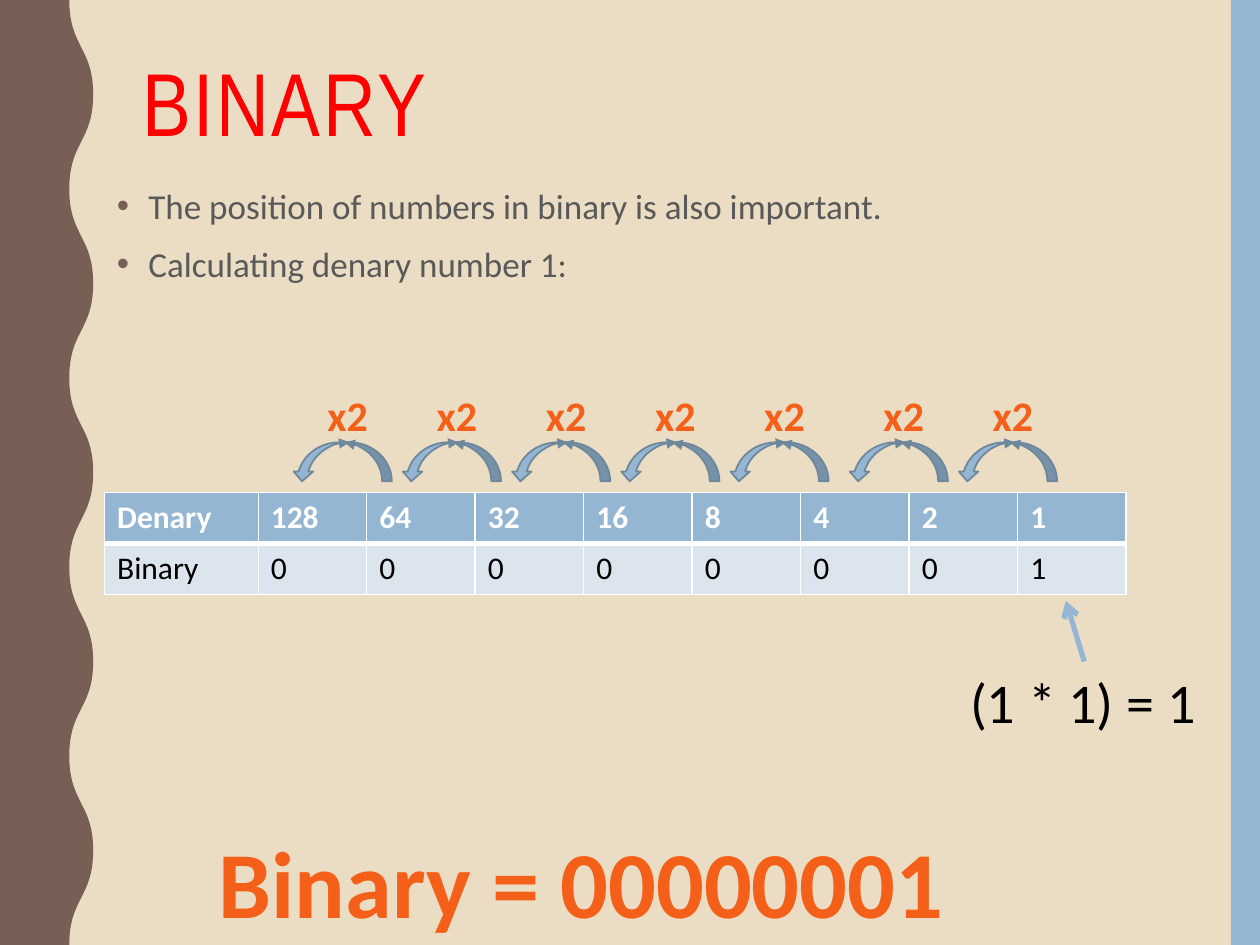
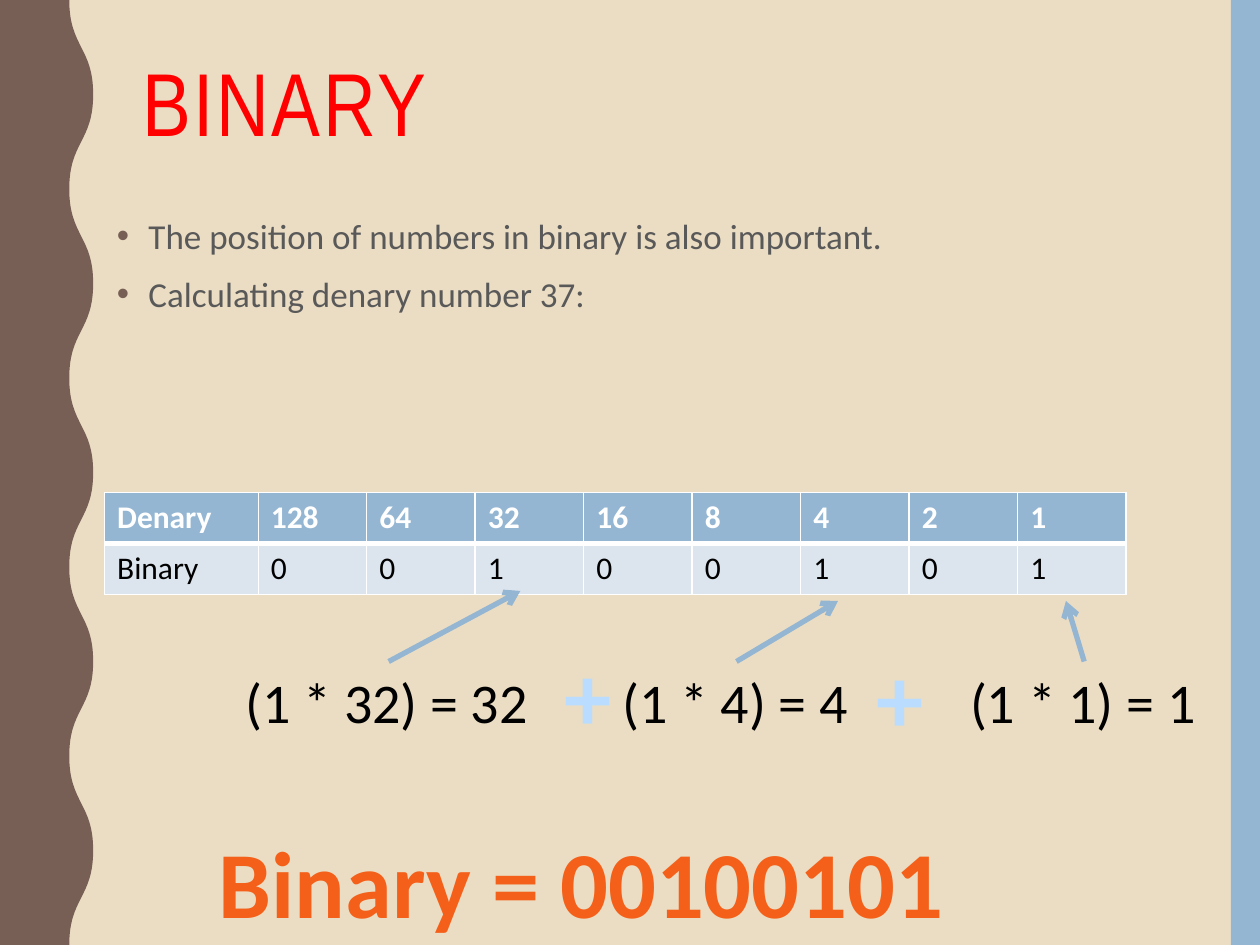
from dataclasses import dataclass

from lxml import etree
from pptx import Presentation
from pptx.dml.color import RGBColor
from pptx.enum.shapes import MSO_CONNECTOR, MSO_SHAPE
from pptx.enum.text import MSO_ANCHOR, MSO_AUTO_SIZE, PP_ALIGN
from pptx.oxml.ns import qn
from pptx.util import Inches, Pt

RECT, ARC = MSO_SHAPE.RECTANGLE, MSO_SHAPE.CURVED_DOWN_ARROW
STRAIGHT = MSO_CONNECTOR.STRAIGHT
TOP = MSO_ANCHOR.TOP
LEFT, CENTER = PP_ALIGN.LEFT, PP_ALIGN.CENTER
FIXED, GROW = MSO_AUTO_SIZE.NONE, MSO_AUTO_SIZE.SHAPE_TO_FIT_TEXT

# Shared colours and text formats
SAND, BROWN, BLUE, SLATE = "EBDDC3", "775F55", "94B6D2", "6D879B"
PALE, WHITE, BLACK, GREY = "DCE5EE", "FFFFFF", "000000", "595959"
RED, ORANGE, SKY = "FF0000", "F46019", "BADDFF"

HEADING = {"name": "Arial Narrow", "size": Pt(51), "bold": False}
BODY = {"name": "Calibri", "size": Pt(20)}
HEADER = {"name": "Calibri", "size": Pt(18), "bold": True}
DIGIT = {"name": "Calibri", "size": Pt(18), "bold": False}
SUM = {"name": "Calibri", "size": Pt(32)}
TIMES = {"name": "Calibri", "size": Pt(24), "bold": True}
LARGE = {"name": "Calibri", "size": Pt(54), "bold": True}

POWERS = [2 ** n for n in range(7, -1, -1)]


@dataclass
class Box:
    x: float
    y: float
    w: float
    h: float

    def place(self) -> tuple:
        return tuple(Inches(v) for v in (self.x, self.y, self.w, self.h))


@dataclass
class Term:
    """One product below the table and the tip of its arrow."""
    text: str
    box: Box
    tip: tuple


@dataclass
class Page:
    number: int
    body: Box
    answer: Box
    terms: list
    pluses: list
    arcs: bool = False


ONE = Term("(1 * 1) = 1", Box(7.6, 5.25, 2.01, 0.64), (8.46, 4.77))
FOUR = Term("(1 * 4) = 4", Box(4.84, 5.25, 2.01, 0.64), (6.65, 4.77))
THIRTY = Term("(1 * 32) = 32", Box(1.85, 5.25, 2.47, 0.64), (4.13, 4.69))

PAGES = [
    Page(1, Box(0.83, 1.38, 9.53, 5.06), Box(1.54, 6.49, 6.15, 1.01),
         [ONE], [], arcs=True),
    Page(37, Box(0.83, 1.62, 8.79, 5.06), Box(1.56, 6.49, 6.11, 1.01),
         [ONE, FOUR, THIRTY],
         [Box(6.84, 5.02, 0.6, 1.01), Box(4.37, 5.01, 0.6, 1.01)]),
]


def rgb(code: str) -> RGBColor:
    return RGBColor.from_string(code)


def style(font, form: dict, color: str) -> None:
    for key, value in form.items():
        setattr(font, key, value)
    font.color.rgb = rgb(color)


def paint(shape, color: str, edge: str = "") -> None:
    shape.shadow.inherit = False
    shape.fill.solid()
    shape.fill.fore_color.rgb = rgb(color)
    if edge:
        shape.line.color.rgb = rgb(edge)
        shape.line.width = Pt(1)
    else:
        shape.line.fill.background()


def add_ends(shape, **ends: str) -> None:
    line = shape.element.spPr.find(qn("a:ln"))
    for tag, kind in ends.items():
        etree.SubElement(line, qn(f"a:{tag}End"), type=kind)


def add_text(slide, box: Box, text: str, form: dict, color: str, align=CENTER):
    shape = slide.shapes.add_textbox(*box.place())
    frame = shape.text_frame
    frame.word_wrap = False
    frame.auto_size = GROW
    para = frame.paragraphs[0]
    para.alignment = align
    run = para.add_run()
    run.text = text
    style(run.font, form, color)
    return shape


# Side bands: a wavy one at the left, a plain one at the right
def bend(shape) -> None:
    """Turn each straight side into a curve that starts and ends upright."""
    start = None
    for step in shape.element.iter(qn("a:moveTo"), qn("a:lnTo")):
        end = step[0]
        if start is not None:
            step.tag = qn("a:cubicBezTo")
            middle = str((int(start.get("y")) + int(end.get("y"))) // 2)
            for i, side in enumerate((start, end)):
                knot = etree.Element(qn("a:pt"), x=side.get("x"), y=middle)
                step.insert(i, knot)
        start = end


def add_bands(slide, master) -> None:
    """Draw the bands and move them to the master, behind all else."""
    band = slide.shapes.add_shape(RECT, *Box(9.77, 0, 0.23, 7.5).place())
    paint(band, BLUE)
    knots = [((0.55, 0.74)[i % 2], 0.75 * i) for i in range(11)]
    pen = slide.shapes.build_freeform(0, 0)
    pen.add_line_segments(
        [(Inches(x), Inches(y)) for x, y in [*knots, (0, 7.5)]])
    wave = pen.convert_to_shape()
    bend(wave)
    paint(wave, BROWN)
    for i, shape in enumerate((band, wave)):
        master.shapes.element.insert(2 + i, shape.element)


def add_title(slide) -> None:
    title = slide.shapes.title
    title.left, title.top, title.width, title.height = Box(
        1.03, 0.42, 8.35, 1.63).place()
    frame = title.text_frame
    frame.vertical_anchor = TOP
    frame.auto_size = FIXED
    para = frame.paragraphs[0]
    para.alignment = LEFT
    para.line_spacing = 0.9
    run = para.add_run()
    run.text = "BINARY"
    style(run.font, HEADING, RED)
    run.font._element.set("spc", "150")


def add_body(slide, box: Box, lines: list) -> None:
    frame = slide.shapes.add_textbox(*box.place()).text_frame
    frame.word_wrap = True
    for i, line in enumerate(lines):
        para = frame.add_paragraph() if i else frame.paragraphs[0]
        para.line_spacing = 1.1
        para.space_before = Pt(7)
        run = para.add_run()
        run.text = line
        style(run.font, BODY, GREY)
        props = para._p.get_or_add_pPr()
        props.set("marL", str(Inches(0.25)))
        props.set("indent", str(Inches(-0.25)))
        tint = etree.SubElement(props, qn("a:buClr"))
        etree.SubElement(tint, qn("a:srgbClr"), val=BROWN)
        etree.SubElement(props, qn("a:buFont"), typeface="Arial")
        etree.SubElement(props, qn("a:buChar"), char="•")


# Table of place values and bits
def add_edges(cell, **widths: float) -> None:
    props = cell._tc.get_or_add_tcPr()
    for side, width in widths.items():
        line = etree.SubElement(props, qn(f"a:ln{side}"), w=str(Pt(width)))
        fill = etree.SubElement(line, qn("a:solidFill"))
        etree.SubElement(fill, qn("a:srgbClr"), val=WHITE)


def add_grid(slide, bits: str) -> None:
    rows = [["Denary", *map(str, POWERS)], ["Binary", *bits]]
    box, first = Box(0.83, 3.91, 8.11, 0.81), 1.22
    table = slide.shapes.add_table(2, len(rows[0]), *box.place()).table
    for i, column in enumerate(table.columns):
        width = (box.w - first) / len(POWERS) if i else first
        column.width = Inches(width)
    looks = [(HEADER, WHITE, BLUE, 1, 3), (DIGIT, BLACK, PALE, 3, 1)]
    for r, (row, look) in enumerate(zip(rows, looks)):
        form, color, fill, top, bottom = look
        for c, text in enumerate(row):
            cell = table.cell(r, c)
            add_edges(cell, L=1, R=1, T=top, B=bottom)
            cell.fill.solid()
            cell.fill.fore_color.rgb = rgb(fill)
            run = cell.text_frame.paragraphs[0].add_run()
            run.text = text
            style(run.font, form, color)


# Products with arrows up to their bits
def add_term(slide, term: Term) -> None:
    box = add_text(slide, term.box, term.text, SUM, BLACK, LEFT)
    x, y = (Inches(v) for v in term.tip)
    arrow = slide.shapes.add_connector(STRAIGHT, x, y, x, y)
    arrow.begin_connect(box, 0)
    arrow.line.color.rgb = rgb(BLUE)
    arrow.line.width = Pt(3)
    add_ends(arrow, tail="arrow")
    etree.SubElement(arrow.element.spPr, qn("a:effectLst"))


# Doubling arcs above the table
def add_arcs(slide) -> None:
    for i in range(len(POWERS) - 1):
        x = 2.32 + 2.6 * i / 3 + (0.08 if i > 4 else 0)
        arc = slide.shapes.add_shape(ARC, *Box(x, 3.51, 0.79, 0.31).place())
        paint(arc, BLUE, SLATE)
        arc.element.spPr.find(qn("a:xfrm")).set("flipH", "1")
        add_ends(arc, head="triangle", tail="triangle")
        add_text(slide, Box(x + 0.16, 3.04, 0.56, 0.5), "x2", TIMES, ORANGE)


def add_page(deck, page: Page):
    slide = deck.slides.add_slide(deck.slide_layouts[5])
    bits = f"{page.number:08b}"
    add_title(slide)
    add_body(slide, page.body, [
        "The position of numbers in binary is also important.",
        f"Calculating denary number {page.number}:"])
    add_grid(slide, bits)
    add_text(slide, page.answer, f"Binary = {bits}", LARGE, ORANGE)
    for term in page.terms:
        add_term(slide, term)
    for box in page.pluses:
        add_text(slide, box, "+", LARGE, SKY)
    if page.arcs:
        add_arcs(slide)
    return slide


def main() -> None:
    deck = Presentation()
    deck.slide_width, deck.slide_height = Inches(10), Inches(7.5)
    back = deck.slide_master.background.fill
    back.solid()
    back.fore_color.rgb = rgb(SAND)
    slides = [add_page(deck, page) for page in PAGES]
    add_bands(slides[0], deck.slide_master)
    deck.save("out.pptx")


if __name__ == "__main__":
    main()
